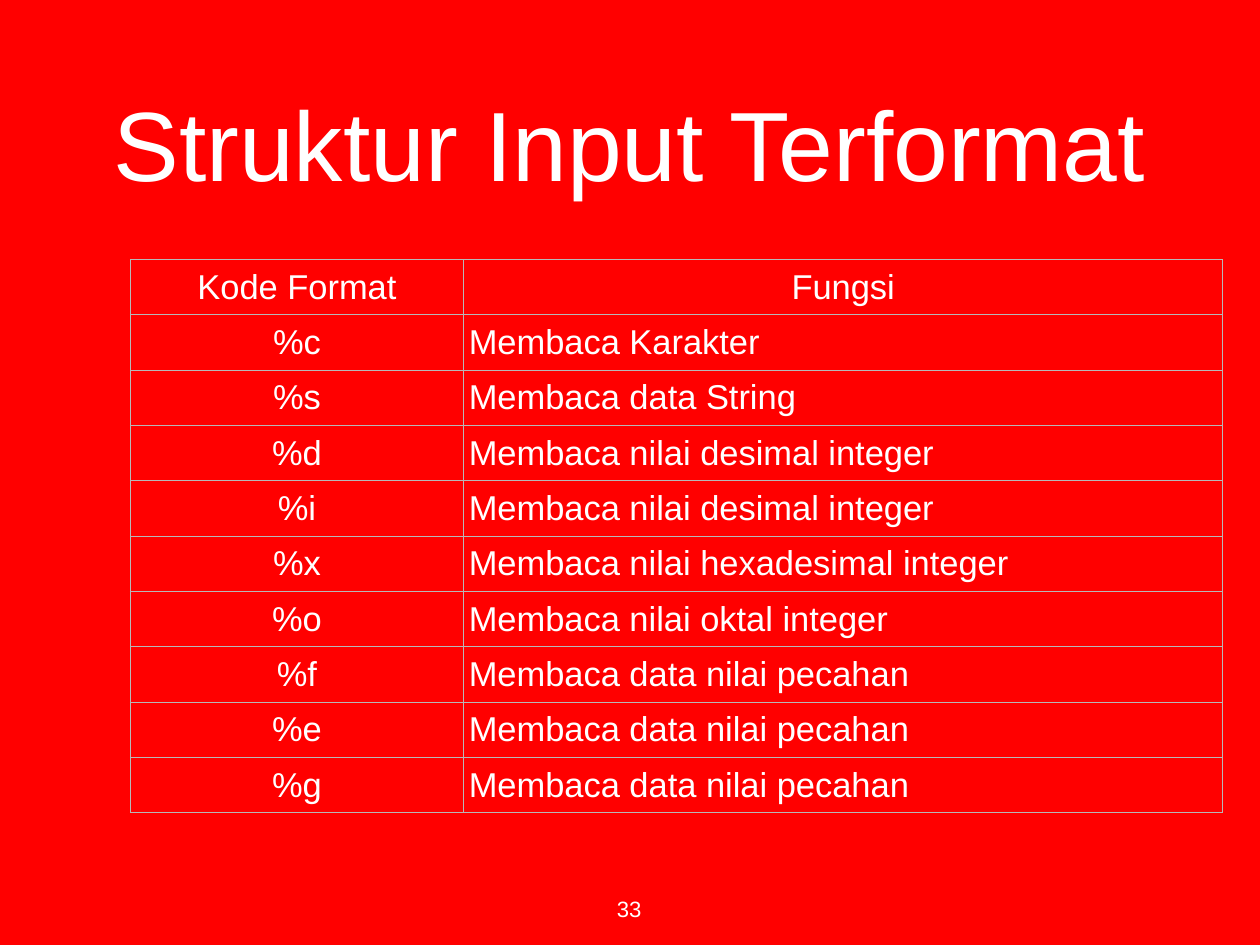
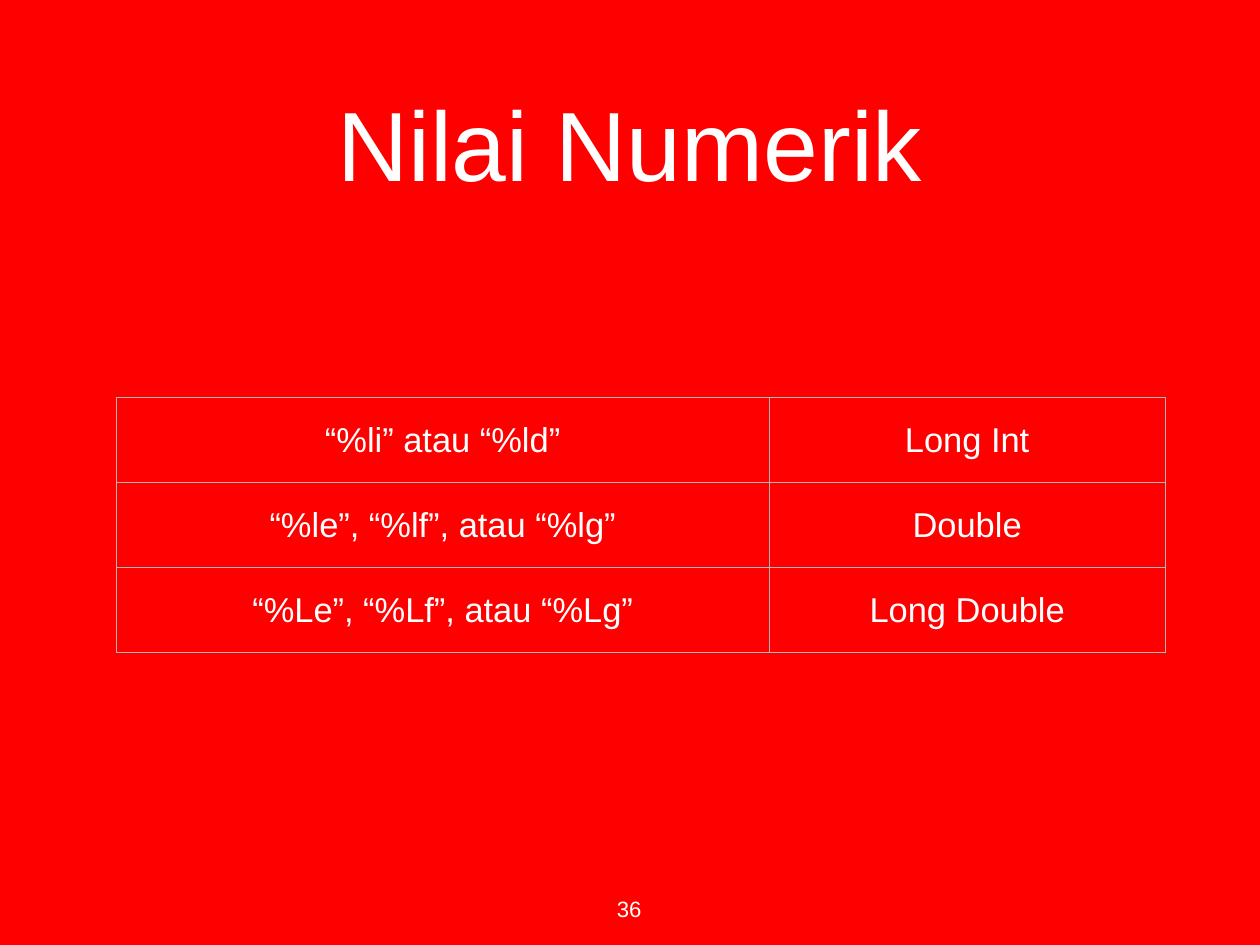
from lxml import etree
from pptx import Presentation
from pptx import util as u
from pptx.dml.color import RGBColor
from pptx.enum import text
from pptx.oxml import ns

RED = RGBColor(0xFF, 0x00, 0x00)
WHITE = RGBColor(0xFF, 0xFF, 0xFF)
SILVER = RGBColor(0xB8, 0xB8, 0xB8)
FONT = "Arial"
CENTER = text.PP_ALIGN.CENTER
LEFT = text.PP_ALIGN.LEFT
TITLE_ONLY = 5


class Lesson:
    """Red slides with a large title, a ruled table and a page number; places are percent of the slide."""

    def __init__(self, width, height):
        self.deck = Presentation()
        self.deck.slide_width, self.deck.slide_height = u.Inches(width), u.Inches(height)
        fill = self.deck.slide_master.background.fill
        fill.solid()
        fill.fore_color.rgb = RED
        self.page = None

    def place(self, left, top, width, height):
        across, down = self.deck.slide_width / 100, self.deck.slide_height / 100
        return [round(share * unit) for share, unit in
                ((left, across), (top, down), (width, across), (height, down))]

    def add_words(self, frame, words, size, align=CENTER):
        para = frame.paragraphs[0]
        para.alignment = align
        span = para.add_run()
        span.text = words
        span.font.name, span.font.size = FONT, u.Pt(size)
        span.font.bold = False
        span.font.color.rgb = WHITE

    def bare(self, frame, anchor, wrap):
        frame.margin_left = frame.margin_right = frame.margin_top = frame.margin_bottom = 0
        frame.vertical_anchor, frame.word_wrap = anchor, wrap

    def add_page(self, title, number):
        self.page = self.deck.slides.add_slide(self.deck.slide_layouts[TITLE_ONLY])
        heading = self.page.shapes.title
        heading.left, heading.top, heading.width, heading.height = self.place(7.31, 4.12, 85.37, 21.74)
        self.bare(heading.text_frame, text.MSO_ANCHOR.MIDDLE, True)
        heading.text_frame.auto_size = text.MSO_AUTO_SIZE.NONE
        self.add_words(heading.text_frame, title, 80)
        self.add_number(number)

    def add_number(self, number):
        box = self.page.shapes.add_textbox(*self.place(48.52, 94.75, 2.81, 3.94))
        self.bare(box.text_frame, text.MSO_ANCHOR.TOP, False)
        box.text_frame.auto_size = text.MSO_AUTO_SIZE.SHAPE_TO_FIT_TEXT
        self.add_words(box.text_frame, str(number), 18)

    def rule(self, cell):
        properties = cell._tc.get_or_add_tcPr()
        for index, side in enumerate(("lnL", "lnR", "lnT", "lnB")):
            line = etree.Element(ns.qn("a:" + side), w=str(u.Pt(0.75)))
            fill = etree.SubElement(line, ns.qn("a:solidFill"))
            etree.SubElement(fill, ns.qn("a:srgbClr"), val=str(SILVER))
            properties.insert(index, line)

    def add_table(self, rows, area, first_share, last_align=CENTER, header=False):
        left, top, width, height = self.place(*area)
        table = self.page.shapes.add_table(len(rows), 2, left, top, width, height).table
        table.first_row = table.horz_banding = False
        table.columns[0].width = round(width * first_share / 100)
        table.columns[1].width = width - table.columns[0].width
        for row_index, row in enumerate(rows):
            table.rows[row_index].height = round(height / len(rows))
            heading = header and row_index == 0
            for cell, words, align in zip(table.rows[row_index].cells, row,
                                          (CENTER, CENTER if heading else last_align)):
                cell.margin_left = cell.margin_right = u.Inches(0.06)
                cell.margin_top = cell.margin_bottom = u.Inches(0.06)
                cell.vertical_anchor = text.MSO_ANCHOR.MIDDLE
                cell.fill.background()
                self.rule(cell)
                self.add_words(cell.text_frame, words, 28, align)


FORMAT_CODES = [
    ("Kode Format", "Fungsi"),
    ("%c", "Membaca Karakter"),
    ("%s", "Membaca data String"),
    ("%d", "Membaca nilai desimal integer"),
    ("%i", "Membaca nilai desimal integer"),
    ("%x", "Membaca nilai hexadesimal integer"),
    ("%o", "Membaca nilai oktal integer"),
    ("%f", "Membaca data nilai pecahan"),
    ("%e", "Membaca data nilai pecahan"),
    ("%g", "Membaca data nilai pecahan"),
]
NUMERIC_TYPES = [
    ("“%li” atau “%ld”", "Long Int"),
    ("“%le”, “%lf”, atau “%lg”", "Double"),
    ("“%Le”, “%Lf”, atau “%Lg”", "Long Double"),
]

lesson = Lesson(14.22, 10.67)
lesson.add_page("Struktur Input Terformat", 33)
lesson.add_table(FORMAT_CODES, (10.34, 27.46, 86.71, 58.58), 30.5, LEFT, header=True)
lesson.add_page("Nilai Numerik", 36)
lesson.add_table(NUMERIC_TYPES, (9.21, 42.08, 83.26, 27), 62.25)
lesson.deck.save("out.pptx")
